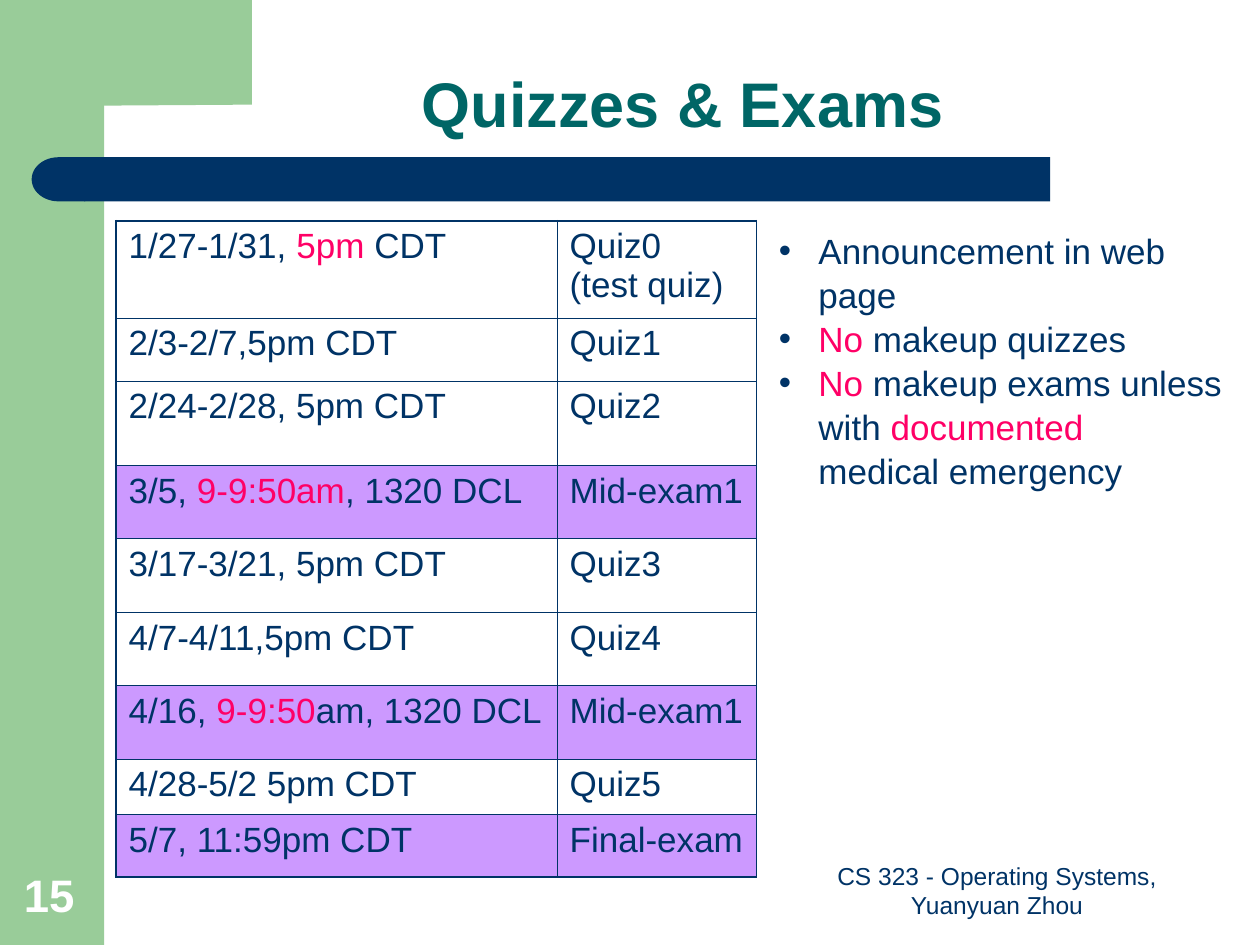
from dataclasses import dataclass

from lxml.etree import SubElement
from pptx import Presentation
from pptx.dml.color import RGBColor
from pptx.enum.shapes import MSO_SHAPE
from pptx.enum.text import MSO_ANCHOR, PP_ALIGN
from pptx.oxml.ns import qn
from pptx.util import Cm, Pt

COLORS = {
    "white": "FFFFFF",
    "green": "99CC99",
    "navy": "003366",
    "teal": "006666",
    "pink": "FF0066",
    "purple": "CC99FF",
}
FONT = "Arial"
THIN, THICK = 0.45, 1.08


@dataclass
class Box:
    left: float
    top: float
    width: float
    height: float

    def lengths(self) -> tuple:
        return Cm(self.left), Cm(self.top), Cm(self.width), Cm(self.height)


@dataclass
class ScheduleRow:
    date: str
    event: str
    height: float
    is_exam: bool = False


# Text between asterisks is shown in the accent colour
SCHEDULE = [
    ScheduleRow("1/27-1/31, *5pm* CDT", "Quiz0 \n(test quiz)", 1.96),
    ScheduleRow("2/3-2/7,5pm CDT", "Quiz1", 1.27),
    ScheduleRow("2/24-2/28, 5pm CDT", "Quiz2", 1.7),
    ScheduleRow("3/5, *9-9:50am*, 1320 DCL", "Mid-exam1", 1.48, True),
    ScheduleRow("3/17-3/21, 5pm CDT", "Quiz3", 1.48),
    ScheduleRow("4/7-4/11,5pm CDT", "Quiz4", 1.48),
    ScheduleRow("4/16, *9-9:50*am, 1320 DCL", "Mid-exam1", 1.48, True),
    ScheduleRow("4/28-5/2 5pm CDT", "Quiz5", 1.11),
    ScheduleRow("5/7, 11:59pm CDT", "Final-exam", 1.27, True),
]
COLUMN_WIDTHS = (8.89, 4.02)
RULES = [
    "Announcement in web page",
    "*No* makeup quizzes",
    "*No* makeup exams unless\nwith *documented*\nmedical emergency",
]


def color(name: str) -> RGBColor:
    return RGBColor.from_string(COLORS[name])


def write_text(frame, *texts: str, size=20, fill="navy", bold=False,
               align=PP_ALIGN.LEFT, anchor=MSO_ANCHOR.TOP,
               line_spacing=None, space_before=None) -> None:
    """Write one paragraph per text; asterisks switch the accent colour."""
    frame.word_wrap = True
    frame.vertical_anchor = anchor
    for index, text in enumerate(texts):
        paragraph = frame.add_paragraph() if index else frame.paragraphs[0]
        paragraph.alignment = align
        paragraph.line_spacing = line_spacing
        paragraph.space_before = space_before
        for part, words in enumerate(text.split("*")):
            for number, line in enumerate(words.split("\n")):
                if number:
                    paragraph.add_line_break()
                if not line:
                    continue
                run = paragraph.add_run()
                run.text = line
                run.font.name = FONT
                run.font.size = Pt(size)
                run.font.bold = bold
                run.font.color.rgb = color("pink" if part % 2 else fill)


def paint(shape, fill: str) -> None:
    shape.shadow.inherit = False
    shape.fill.solid()
    shape.fill.fore_color.rgb = color(fill)
    shape.line.fill.background()


def add_block(slide, kind: MSO_SHAPE, box: Box, fill: str):
    shape = slide.shapes.add_shape(kind, *box.lengths())
    paint(shape, fill)
    return shape


def add_text_box(slide, box: Box, *texts: str, **text_format):
    shape = slide.shapes.add_textbox(*box.lengths())
    write_text(shape.text_frame, *texts, **text_format)
    return shape


def add_bullet(paragraph, indent: float) -> None:
    properties = paragraph._p.get_or_add_pPr()
    properties.set("marL", str(Cm(indent)))
    properties.set("indent", str(-Cm(indent)))
    bullet_color = SubElement(properties, qn("a:buClr"))
    SubElement(bullet_color, qn("a:srgbClr"), val=COLORS["navy"])
    SubElement(properties, qn("a:buFont"), typeface=FONT)
    SubElement(properties, qn("a:buChar"), char="•")


def set_borders(cell, widths: dict) -> None:
    properties = cell._tc.get_or_add_tcPr()
    for side, width in widths.items():
        line = SubElement(properties, qn(f"a:ln{side}"), w=str(Pt(width)))
        solid = SubElement(line, qn("a:solidFill"))
        SubElement(solid, qn("a:srgbClr"), val=COLORS["navy"])


def add_schedule(slide, left: float, top: float) -> None:
    box = Box(left, top, sum(COLUMN_WIDTHS), sum(row.height for row in SCHEDULE))
    table = slide.shapes.add_table(
        len(SCHEDULE), len(COLUMN_WIDTHS), *box.lengths()).table
    table.first_row = False
    table.horz_banding = False
    for column, width in zip(table.columns, COLUMN_WIDTHS):
        column.width = Cm(width)

    last_row, last_column = len(SCHEDULE) - 1, len(COLUMN_WIDTHS) - 1
    for row_index, row in enumerate(SCHEDULE):
        table.rows[row_index].height = Cm(row.height)
        for column_index, text in enumerate((row.date, row.event)):
            cell = table.cell(row_index, column_index)
            write_text(cell.text_frame, text, space_before=Pt(5))
            set_borders(cell, {
                "L": THICK if column_index == 0 else THIN,
                "R": THICK if column_index == last_column else THIN,
                "T": THICK if row_index == 0 else THIN,
                "B": THICK if row_index == last_row else THIN,
            })
            if row.is_exam:
                cell.fill.solid()
                cell.fill.fore_color.rgb = color("purple")
            else:
                cell.fill.background()


def add_decoration(slide) -> None:
    # Side stripe and corner with a curved inner edge
    add_block(slide, MSO_SHAPE.RECTANGLE, Box(0, 0, 2.1, 19.05), "green")
    outline = [(5.08, 0), (5.08, 2.11), (2.11, 2.13), (1.96, 2.16), (1.8, 2.34),
               (1.73, 2.64), (1.7, 2.95), (1.7, 3.25), (1.27, 3.25), (1.27, 0)]
    points = [(Cm(x), Cm(y)) for x, y in outline]
    builder = slide.shapes.build_freeform(*points[0])
    builder.add_line_segments(points[1:], close=True)
    paint(builder.convert_to_shape(), "green")

    # Title bar with a rounded left end
    bar = add_block(slide, MSO_SHAPE.ROUNDED_RECTANGLE,
                    Box(1.7, 3.17, 19.47, 0.89), "navy")
    bar.adjustments[0] = 0
    bar_end = add_block(slide, MSO_SHAPE.FLOWCHART_DELAY,
                        Box(0.64, 3.17, 1.08, 0.89), "navy")
    bar_end._element.spPr.get_or_add_xfrm().set("flipH", "1")


def main() -> None:
    presentation = Presentation()
    presentation.slide_width, presentation.slide_height = Cm(25.4), Cm(19.05)
    slide = presentation.slides.add_slide(presentation.slide_layouts[5])
    add_decoration(slide)

    # Title
    title = slide.shapes.title
    title.left, title.top, title.width, title.height = Box(
        2.95, 0.2, 21.62, 2.77).lengths()
    write_text(title.text_frame, "Quizzes & Exams", size=36, fill="teal", bold=True,
               align=PP_ALIGN.CENTER, anchor=MSO_ANCHOR.BOTTOM, line_spacing=0.9)

    # Schedule and rules
    add_schedule(slide, 2.34, 4.45)
    rules = add_text_box(slide, Box(15.45, 4.45, 9.95, 4.5), *RULES,
                         line_spacing=1.05)
    for paragraph in rules.text_frame.paragraphs:
        add_bullet(paragraph, 0.8)

    # Footer and slide number
    add_text_box(slide, Box(16.08, 17.35, 8.04, 1.32),
                 "CS 323 - Operating Systems, Yuanyuan Zhou", size=14,
                 align=PP_ALIGN.CENTER, anchor=MSO_ANCHOR.BOTTOM)
    add_text_box(slide, Box(0.23, 17.35, 1.63, 1.35), "15", size=26,
                 fill="white", bold=True, anchor=MSO_ANCHOR.BOTTOM)

    presentation.save("out.pptx")


if __name__ == "__main__":
    main()
